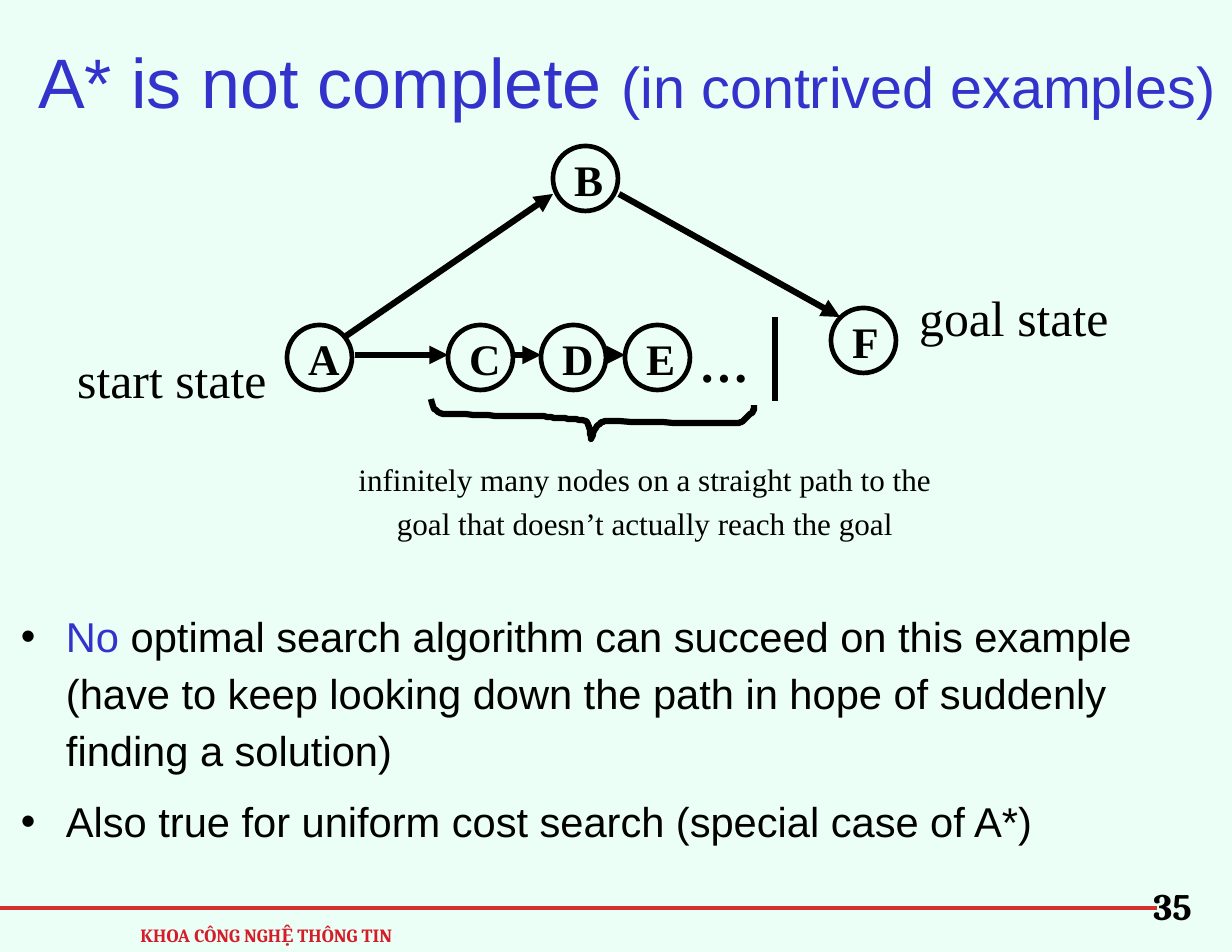
from lxml.etree import SubElement
from pptx import Presentation
from pptx.dml.color import RGBColor
from pptx.enum.shapes import MSO_CONNECTOR, MSO_SHAPE
from pptx.enum.text import MSO_ANCHOR, MSO_AUTO_SIZE, PP_ALIGN
from pptx.oxml.ns import qn
from pptx.util import Emu, Pt

SCALE = 914400 / 112
BLACK, BLUE, RED = "000000", "3333CC", "D51C29"
SERIF, SANS, FOOTER = "Times New Roman", "Arial", "Cambria"
CENTER, LEFT = PP_ALIGN.CENTER, PP_ALIGN.LEFT


def px(length):
    return Emu(round(length * SCALE))


def color(value):
    return RGBColor.from_string(value)


def curve_points(start, curves, steps=12):
    """Points along a chain of cubic curves, each (control, control, end)."""
    points = []
    for first, second, end in curves:
        for step in range(1, steps + 1):
            t = step / steps
            u = 1 - t
            points.append(tuple(
                u**3 * a + 3 * u * u * t * b + 3 * u * t * t * c + t**3 * d
                for a, b, c, d in zip(start, first, second, end)))
        start = end
    return points


class Canvas:
    def __init__(self, slide, background):
        self.slide = slide
        slide.background.fill.solid()
        slide.background.fill.fore_color.rgb = color(background)

    def outline(self, shape, width):
        shape.shadow.inherit = False
        shape.fill.background()
        shape.line.color.rgb = color(BLACK)
        shape.line.width = Pt(width)

    def text(self, box, paragraphs, font, align=CENTER, bold=False, wrap=True,
             grow=True, anchor=MSO_ANCHOR.TOP, spacing=1.18, bullet=False):
        """Each paragraph is a list of runs: (text, size, colour)."""
        shape = self.slide.shapes.add_textbox(*map(px, box))
        frame = shape.text_frame
        frame.word_wrap = wrap
        frame.vertical_anchor = anchor
        frame.auto_size = (MSO_AUTO_SIZE.SHAPE_TO_FIT_TEXT if grow
                           else MSO_AUTO_SIZE.NONE)
        for index, runs in enumerate(paragraphs):
            paragraph = frame.add_paragraph() if index else frame.paragraphs[0]
            if bullet:
                self.bullet(paragraph)
            paragraph.alignment = align
            paragraph.line_spacing = spacing
            if index:
                paragraph.space_before = Pt(9)
            for words, size, ink in runs:
                run = paragraph.add_run()
                run.text = words
                run.font.name = font
                run.font.size = Pt(size)
                run.font.bold = bold
                run.font.color.rgb = color(ink)
        return frame

    def bullet(self, paragraph):
        properties = paragraph._p.get_or_add_pPr()
        properties.set("marL", str(px(45)))
        properties.set("indent", str(-px(45)))
        ink = SubElement(properties, qn("a:buClr"))
        SubElement(ink, qn("a:srgbClr"), val=BLACK)
        SubElement(properties, qn("a:buFont"), typeface=SANS)
        SubElement(properties, qn("a:buChar"), char="•")

    def node(self, letter, left, top, text_width):
        shape = self.slide.shapes.add_shape(
            MSO_SHAPE.OVAL, px(left), px(top), px(65), px(65))
        self.outline(shape, 3)
        self.text((left + 10, top - 8, text_width, 73),
                  [[(letter, 28, BLACK)]], SERIF, LEFT, bold=True, wrap=False)

    def line(self, start, end, width=4, ink=BLACK, arrow=False):
        connector = self.slide.shapes.add_connector(
            MSO_CONNECTOR.STRAIGHT, *map(px, start + end))
        connector.line.color.rgb = color(ink)
        connector.line.width = Pt(width)
        if arrow:
            SubElement(connector.line._get_or_add_ln(), qn("a:tailEnd"),
                       type="triangle")
        SubElement(connector._element.spPr, qn("a:effectLst"))

    def curve(self, start, curves, width):
        builder = self.slide.shapes.build_freeform(*start, scale=SCALE)
        builder.add_line_segments(curve_points(start, curves), close=False)
        self.outline(builder.convert_to_shape(), width)


def main():
    presentation = Presentation()
    presentation.slide_width, presentation.slide_height = px(1232), px(952)
    slide = presentation.slides.add_slide(presentation.slide_layouts[6])
    canvas = Canvas(slide, "EBFFF7")

    # Footer
    canvas.line((0, 908), (1157, 908), 2.25, "D32F2F")
    canvas.text((125, 914, 283, 38), [[("KHOA CÔNG NGHỆ THÔNG TIN", 12, RED)]],
                FOOTER, bold=True)
    canvas.text((1129, 870, 87, 64), [[("35", 24, BLACK)]], FOOTER, bold=True)

    # Title
    canvas.text((22, 0, 1210, 140),
                [[("A* is not complete ", 45, BLUE),
                  ("(in contrived examples)", 37, BLUE)]],
                SANS, grow=False, anchor=MSO_ANCHOR.MIDDLE, spacing=1.24)

    # Graph nodes
    for letter, left, top, text_width in (
            ("A", 287, 325, 54), ("B", 553, 146, 52), ("C", 448, 325, 54),
            ("D", 541, 325, 54), ("E", 625, 325, 52), ("F", 831, 308, 49)):
        canvas.node(letter, left, top, text_width)

    # Edges, and the wall before the goal
    for start, end in (((346, 336), (553, 194)), ((619, 194), (840, 317)),
                       ((355, 355), (448, 355)), ((513, 355), (541, 355)),
                       ((616, 355), (625, 355))):
        canvas.line(start, end, arrow=True)
    canvas.line((775, 317), (775, 401))

    # Brace under the endless path
    canvas.curve((431, 399), (
        ((433, 416), (444, 414), (459, 414)),
        ((488, 416), (516, 416), (544, 416)),
        ((558, 420), (572, 417), (586, 421)),
        ((590, 426), (590, 432), (591, 439)),
        ((594, 431), (597, 423), (605, 421)),
        ((663, 422), (683, 424), (739, 423)),
        ((746, 421), (747, 416), (753, 412)),
        ((754, 408), (754, 410), (754, 405))), 4)

    # Labels
    canvas.text((688, 317, 72, 82), [[("…", 32, BLACK)]], SERIF,
                bold=True, wrap=False)
    for label, left, top in (("start state", 66, 333), ("goal state", 908, 271)):
        canvas.text((left, top, 212, 82), [[(label, 32, BLACK)]], SERIF,
                    wrap=False)
    canvas.text((319, 448, 652, 100),
                [[("infinitely many nodes on a straight path to the goal "
                   "that doesn’t actually reach the goal", 20, BLACK)]], SERIF)

    # Conclusions
    frame = canvas.text(
        (9, 597, 1223, 252),
        [[("No", 26.8, BLUE),
          (" optimal search algorithm can succeed on this example (have to "
           "keep looking down the path in hope of suddenly finding a solution)",
           26.8, BLACK)],
         [("Also true for uniform cost search (special case of A*)",
           26.8, BLACK)]],
        SANS, LEFT, grow=False, spacing=1.14, bullet=True)
    frame.margin_left = frame.margin_right = px(12)
    frame.margin_top = frame.margin_bottom = px(7)

    presentation.save("out.pptx")


if __name__ == "__main__":
    main()
